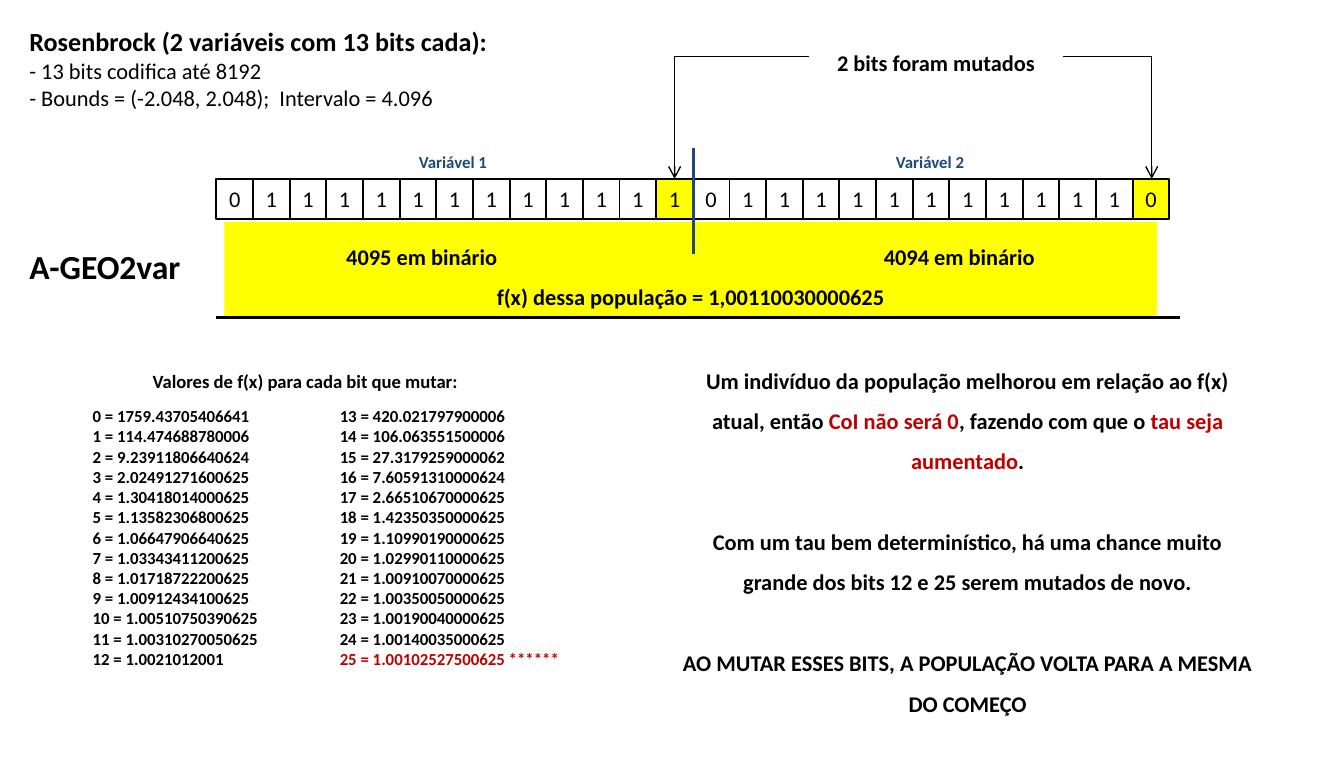
import pptx
import pptx.dml.color
import pptx.enum.dml
import pptx.enum.shapes
import pptx.enum.text
import pptx.oxml
import pptx.oxml.ns
import pptx.util
from pptx.util import Inches

BLACK = pptx.dml.color.RGBColor(0x00, 0x00, 0x00)
YELLOW = pptx.dml.color.RGBColor(0xFF, 0xFF, 0x00)
NAVY = pptx.dml.color.RGBColor(0x1F, 0x49, 0x7D)
RED = pptx.dml.color.RGBColor(0xC0, 0x00, 0x00)
LEFT = pptx.enum.text.PP_ALIGN.LEFT
CENTER = pptx.enum.text.PP_ALIGN.CENTER
CONNECTORS = pptx.enum.shapes.MSO_CONNECTOR

BITS = "0" + "1" * 12 + "0" + "1" * 11 + "0"
MUTATED = (12, 25)
ROW_LEFT, ROW_TOP, ROW_WIDTH, ROW_HEIGHT = 1.61, 1.33, 7.09, 0.3

FIRST_VALUES = [
    "1759.43705406641", "114.474688780006", "9.23911806640624",
    "2.02491271600625", "1.30418014000625", "1.13582306800625",
    "1.06647906640625", "1.03343411200625", "1.01718722200625",
    "1.00912434100625", "1.00510750390625", "1.00310270050625",
    "1.0021012001",
]
SECOND_VALUES = [
    "420.021797900006", "106.063551500006", "27.3179259000062",
    "7.60591310000624", "2.66510670000625", "1.42350350000625",
    "1.10990190000625", "1.02990110000625", "1.00910070000625",
    "1.00350050000625", "1.00190040000625", "1.00140035000625",
    "1.00102527500625 ******",
]


def set_attributes(target, values):
    for name, value in values.items():
        setattr(target, name, value)


def add_span(para, text, size, color=BLACK, bold=True):
    span = para.add_run()
    span.text = text
    set_attributes(span.font, {"name": "Calibri", "size": pptx.util.Pt(size), "bold": bold})
    span.font.color.rgb = color


def write_paragraphs(shape, paragraphs, align=LEFT, spacing=1.0, gap=0):
    """Fill a shape; each paragraph is a list of add_span argument tuples."""
    frame = shape.text_frame
    set_attributes(frame, {
        "word_wrap": True,
        "auto_size": pptx.enum.text.MSO_AUTO_SIZE.SHAPE_TO_FIT_TEXT,
    })
    for index, spans in enumerate(paragraphs):
        para = frame.add_paragraph() if index else frame.paragraphs[0]
        set_attributes(para, {"alignment": align, "line_spacing": spacing})
        if index and gap:
            para.space_before = pptx.util.Pt(gap)
        for span in spans:
            add_span(para, *span)


def add_text(page, place, paragraphs, **layout):
    box = page.shapes.add_textbox(*map(Inches, place))
    write_paragraphs(box, paragraphs, **layout)


def add_rectangle(page, place, fill=None, outline=None):
    shape = page.shapes.add_shape(
        pptx.enum.shapes.MSO_SHAPE.RECTANGLE, *map(Inches, place))
    shape.shadow.inherit = False
    if fill is None:
        shape.fill.background()
    else:
        shape.fill.solid()
        shape.fill.fore_color.rgb = fill
    if outline is None:
        shape.line.fill.background()
    else:
        shape.line.color.rgb = outline
        shape.line.width = pptx.util.Pt(1)
    return shape


def add_line(page, start, end, color, width, kind=CONNECTORS.STRAIGHT):
    line = page.shapes.add_connector(kind, *map(Inches, start + end))
    line.line.color.rgb = color
    line.line.width = pptx.util.Pt(width)
    pptx.oxml.ns.qn("a:effectLst")
    properties = line._element.spPr
    properties.append(properties.makeelement(pptx.oxml.ns.qn("a:effectLst"), {}))
    return line


def add_bent_arrow(page, start, end):
    """Draw an arrow that runs level and then turns down once."""
    arrow = add_line(page, start, end, BLACK, 0.75, CONNECTORS.ELBOW)
    arrow._element.spPr.prstGeom.set("prst", "bentConnector2")
    outline = arrow.line._get_or_add_ln()
    outline.append(outline.makeelement(pptx.oxml.ns.qn("a:tailEnd"), {"type": "arrow"}))


def add_center_tabs(para, positions):
    properties = para._p.get_or_add_pPr()
    tabs = properties.makeelement(pptx.oxml.ns.qn("a:tabLst"), {})
    for position in positions:
        tabs.append(tabs.makeelement(
            pptx.oxml.ns.qn("a:tab"), {"pos": str(Inches(position)), "algn": "ctr"}))
    properties.append(tabs)


def add_result_band(page):
    band = add_rectangle(page, (1.67, 1.65, 6.94, 0.71), YELLOW)
    write_paragraphs(band, [
        [("\t4095 em binário\t4094 em binário", 12)],
        [("f(x) dessa população = 1,00110030000625", 12)],
    ], align=CENTER, spacing=1.5)
    values = band.text_frame.paragraphs[0]
    values.alignment = LEFT
    add_center_tabs(values, (1.37, 5.37))


def add_bit_row(page):
    width = ROW_WIDTH / len(BITS)
    for index, bit in enumerate(BITS):
        fill = YELLOW if index in MUTATED else None
        cell = add_rectangle(
            page, (ROW_LEFT + index * width, ROW_TOP, width, ROW_HEIGHT), fill, BLACK)
        set_attributes(cell.text_frame, {"margin_left": 0, "margin_right": 0})
        write_paragraphs(cell, [[(bit, 12, BLACK, False)]], align=CENTER)


def add_value_column(page, place, values, first, highlighted=None):
    add_text(page, place, [
        [(f"{bit} = {value}", 9, RED if bit == highlighted else BLACK)]
        for bit, value in enumerate(values, first)
    ])


def main():
    deck = pptx.Presentation()
    set_attributes(deck, {"slide_width": Inches(10), "slide_height": Inches(5.63)})
    page = deck.slides.add_slide(deck.slide_layouts[6])

    add_text(page, (0.12, 0.14, 4.7, 0.74), [
        [("Rosenbrock (2 variáveis com 13 bits cada):", 14)],
        [("- 13 bits codifica até 8192", 12, BLACK, False)],
        [("- Bounds = (-2.048, 2.048);  Intervalo = 4.096", 12, BLACK, False)],
    ])

    add_result_band(page)
    add_bit_row(page)
    add_line(page, (5.16, 1.1), (5.16, 1.89), NAVY, 1.5)
    for left, label in ((2.63, "Variável 1"), (6.18, "Variável 2")):
        add_text(page, (left, 1.08, 1.48, 0.25), [[(label, 9, NAVY)]], align=CENTER)
    add_line(page, (8.78, 2.36), (1.61, 2.36), BLACK, 1.5)

    add_text(page, (4.96, 2.58, 4.48, 2.83), [
        [("Um indivíduo da população melhorou em relação ao f(x) atual, então ", 12),
         ("CoI não será 0", 12, RED),
         (", fazendo com que o ", 12),
         ("tau seja aumentado", 12, RED),
         (".", 12)],
        [("Com um tau bem determinístico, há uma chance muito grande "
          "dos bits 12 e 25 serem mutados de novo.", 12)],
        [("AO MUTAR ESSES BITS, A POPULAÇÃO VOLTA PARA A MESMA DO COMEÇO", 12)],
    ], align=CENTER, spacing=1.5, gap=21.6)
    add_text(page, (0.12, 1.78, 1.61, 0.4), [[("A-GEO2var", 18)]])

    add_value_column(page, (0.59, 2.97, 1.92, 2.07), FIRST_VALUES, 0)
    add_value_column(page, (2.43, 2.97, 2.04, 2.07), SECOND_VALUES, 13, highlighted=25)
    add_text(page, (0.75, 2.7, 3.04, 0.27),
             [[("Valores de f(x) para cada bit que mutar:", 10)]], align=CENTER)

    add_text(page, (6.02, 0.22, 1.89, 0.4), [[("2 bits foram mutados", 12)]],
             align=CENTER, spacing=1.5)
    add_bent_arrow(page, (6.02, 0.42), (5.02, ROW_TOP))
    add_bent_arrow(page, (7.91, 0.42), (8.57, ROW_TOP))

    deck.save("out.pptx")


if __name__ == "__main__":
    main()
